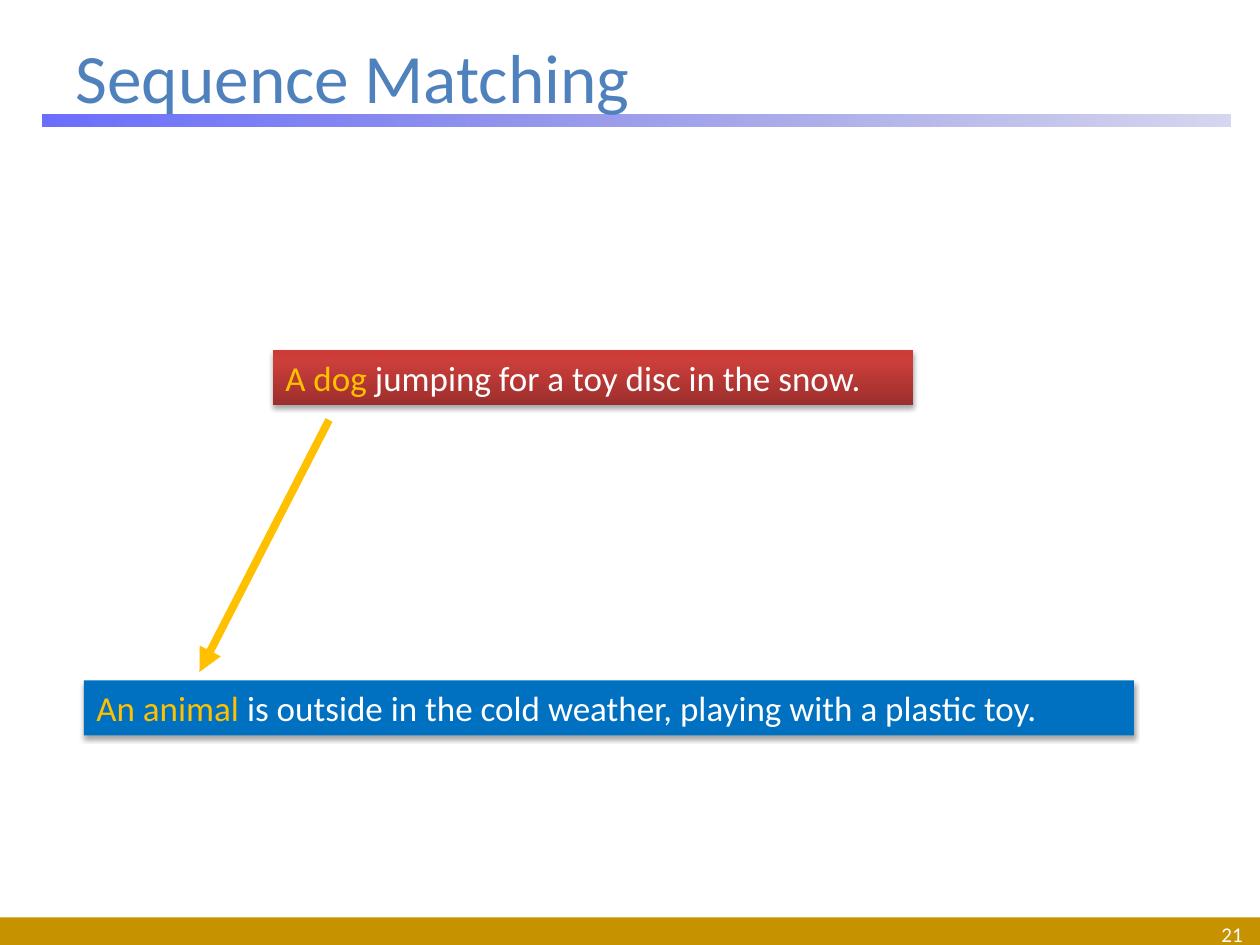
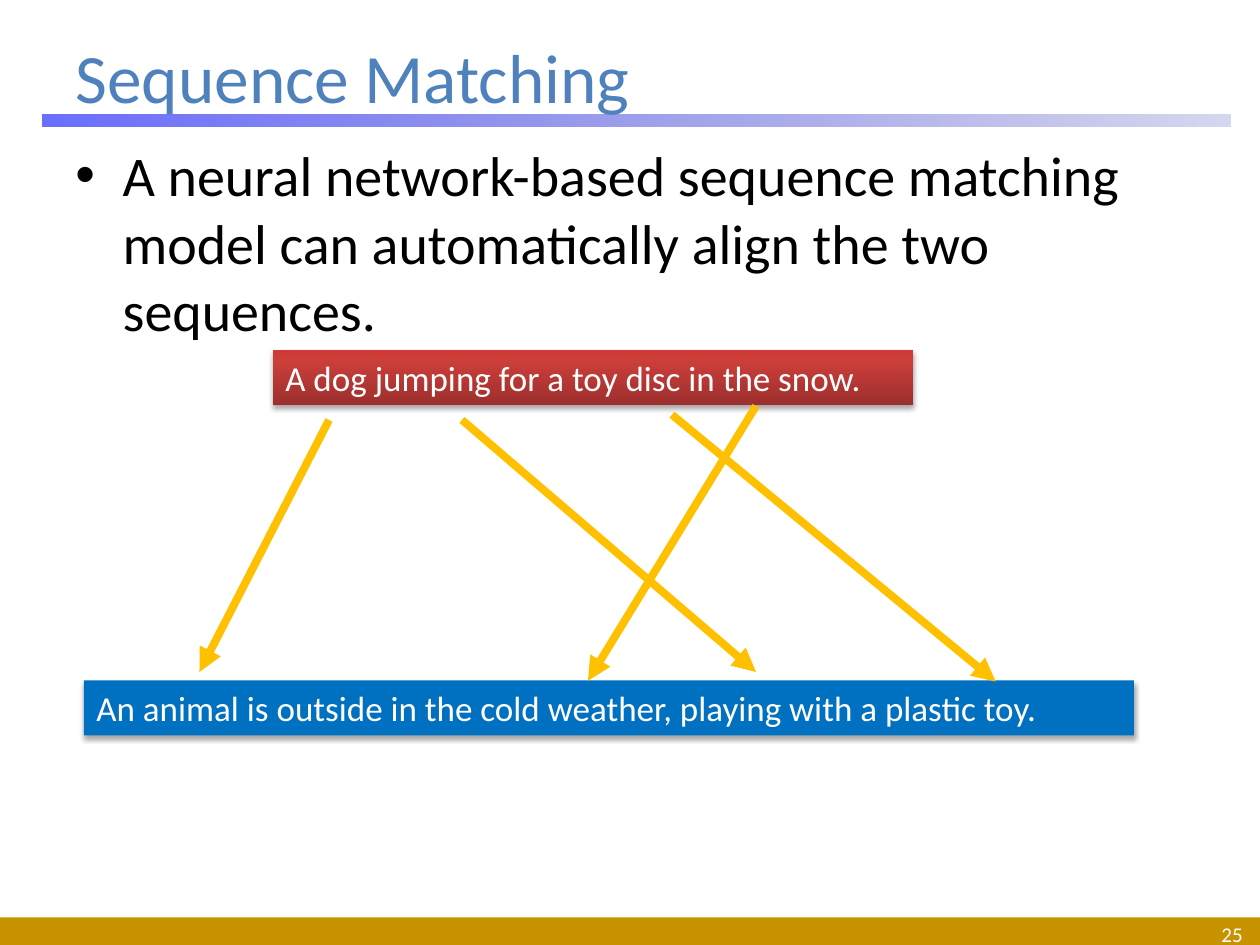
import pptx
import pptx.dml.color
import pptx.enum.shapes
import pptx.enum.text
import pptx.oxml
import pptx.oxml.ns
import pptx.util
from lxml import etree

Pt = pptx.util.Pt
ANCHOR = pptx.enum.text.MSO_ANCHOR
ALIGN = pptx.enum.text.PP_ALIGN
qn = pptx.oxml.ns.qn

# Shared style
FONT = "Calibri"
WIDTH, HEIGHT = 720, 540
TITLE, BLACK, WHITE = "4F81BD", "000000", "FFFFFF"
GOLD, BLUE, FOOT = "FFC000", "0070C0", "C69200"
RULE = [(0, "464AFC", 80), (100, "3235B4", 20)]
RED = [(0, "9C2F2D", 100), (80, "CB3E3A", 100), (100, "CE3B37", 100)]

# Sentences, each split into its subject and the rest
DOG = ("A dog ", "jumping for a toy disc in the snow.")
ANIMAL = ("An animal ", "is outside in the cold weather, playing with a plastic toy.")

# Arrows between matching phrases: start x, y and end x, y
SUBJECT = (188, 240, 114, 384)
OTHERS = [(432, 232, 336, 389), (264, 240, 432, 384), (384, 237, 569, 389.5)]


def color(code):
    return pptx.dml.color.RGBColor.from_string(code)


def place(left, top, width, height):
    return Pt(left), Pt(top), Pt(width), Pt(height)


def style(run, size, code):
    run.font.name = FONT
    run.font.size = Pt(size)
    run.font.color.rgb = color(code)


def blend(fill, stops, angle):
    """Fill with a gradient of (position, colour, opacity) stops."""
    fill.gradient()
    fill.gradient_angle = angle
    # More than two stops and opacity need XML
    items = fill.gradient_stops[0]._gs.getparent()
    for item in list(items):
        items.remove(item)
    for pos, code, alpha in stops:
        stop = etree.SubElement(items, qn("a:gs"), pos=str(pos * 1000))
        tint = etree.SubElement(stop, qn("a:srgbClr"), val=code)
        etree.SubElement(tint, qn("a:alpha"), val=str(alpha * 1000))


def add_box(slide, box, paint, angle=0):
    """Add a borderless rectangle; paint is a colour or a list of stops."""
    kind = pptx.enum.shapes.MSO_SHAPE.RECTANGLE
    shape = slide.shapes.add_shape(kind, *place(*box))
    if isinstance(paint, str):
        shape.fill.solid()
        shape.fill.fore_color.rgb = color(paint)
    else:
        blend(shape.fill, paint, angle)
    shape.line.fill.background()
    shape.shadow.inherit = False
    return shape


def add_shadow(shape):
    effects = shape.element.spPr.find(qn("a:effectLst"))
    shadow = etree.SubElement(
        effects, qn("a:outerShdw"), blurRad=str(Pt(3.1)), dist=str(Pt(1.8)),
        dir="5400000", rotWithShape="0")
    tint = etree.SubElement(shadow, qn("a:srgbClr"), val=BLACK)
    etree.SubElement(tint, qn("a:alpha"), val="35000")


def add_sentence(slide, box, paint, parts, marked):
    """Add a shadowed bar with a sentence, its subject gold if marked."""
    shape = add_box(slide, box, paint, 90)
    add_shadow(shape)
    frame = shape.text_frame
    frame.word_wrap = True
    frame.vertical_anchor = ANCHOR.TOP
    line = frame.paragraphs[0]
    line.alignment = ALIGN.LEFT
    pieces = zip(parts, (GOLD, WHITE)) if marked else [("".join(parts), WHITE)]
    for text, code in pieces:
        run = line.add_run()
        run.text = text
        style(run, 20, code)


def add_arrow(slide, ends):
    kind = pptx.enum.shapes.MSO_CONNECTOR.STRAIGHT
    arrow = slide.shapes.add_connector(kind, *map(Pt, ends))
    arrow.line.color.rgb = color(GOLD)
    arrow.line.width = Pt(4.5)
    etree.SubElement(arrow.line._get_or_add_ln(), qn("a:tailEnd"), type="triangle")
    etree.SubElement(arrow.element.spPr, qn("a:effectLst"))


def add_text(slide, box, text, size, code):
    frame = slide.shapes.add_textbox(*place(*box)).text_frame
    frame.word_wrap = True
    frame.text = text
    style(frame.paragraphs[0].runs[0], size, code)
    return frame


def add_bullet(slide, box, text):
    frame = add_text(slide, box, text, 32, BLACK)
    props = frame.paragraphs[0]._p.get_or_add_pPr()
    props.set("marL", str(Pt(27)))
    props.set("indent", str(Pt(-27)))
    etree.SubElement(props, qn("a:buFont"), typeface="Arial")
    etree.SubElement(props, qn("a:buChar"), char="•")


def add_title(slide, text):
    title = slide.shapes.title
    title.left, title.top, title.width, title.height = place(36, 21.6, 648, 43.9)
    frame = title.text_frame
    frame.text = text
    frame.auto_size = pptx.enum.text.MSO_AUTO_SIZE.NONE
    frame.vertical_anchor = ANCHOR.MIDDLE
    frame.paragraphs[0].alignment = ALIGN.LEFT
    style(frame.paragraphs[0].runs[0], 39.6, TITLE)


def add_number(slide, number):
    frame = add_text(slide, (549.4, 524.9, 167.8, 17.3), str(number), 12, WHITE)
    frame.margin_top = frame.margin_bottom = 0
    frame.vertical_anchor = ANCHOR.MIDDLE
    frame.paragraphs[0].alignment = ALIGN.RIGHT


def add_slide(deck, number):
    """Add a slide with the shared title, rule, foot band and number."""
    slide = deck.slides.add_slide(deck.slide_layouts[5])
    add_title(slide, "Sequence Matching")
    foot = add_box(slide, (0, 524.2, WIDTH, HEIGHT - 524.2), FOOT)
    rule = add_box(slide, (24.2, 65.6, 679.2, 6.5), RULE)
    for band in (rule, foot):  # behind the title
        slide.shapes.element.insert(2, band.element)
    add_number(slide, number)
    return slide


def add_match(slide, arrows, marked=False):
    """Add the two sentences and the arrows that align them."""
    add_sentence(slide, (48, 388.8, 600, 31.5), BLUE, ANIMAL, marked)
    add_sentence(slide, (156, 200, 366, 31.5), RED, DOG, marked)
    for ends in arrows:
        add_arrow(slide, ends)


def main():
    deck = pptx.Presentation()
    deck.slide_width, deck.slide_height = Pt(WIDTH), Pt(HEIGHT)

    # First match only
    slide = add_slide(deck, 21)
    add_match(slide, [SUBJECT], marked=True)

    # Full alignment
    slide = add_slide(deck, 25)
    add_bullet(slide, (36, 77, 648, 405.4),
               "A neural network-based sequence matching model can "
               "automatically align the two sequences.")
    add_match(slide, [SUBJECT] + OTHERS)

    deck.save("out.pptx")


if __name__ == "__main__":
    main()
